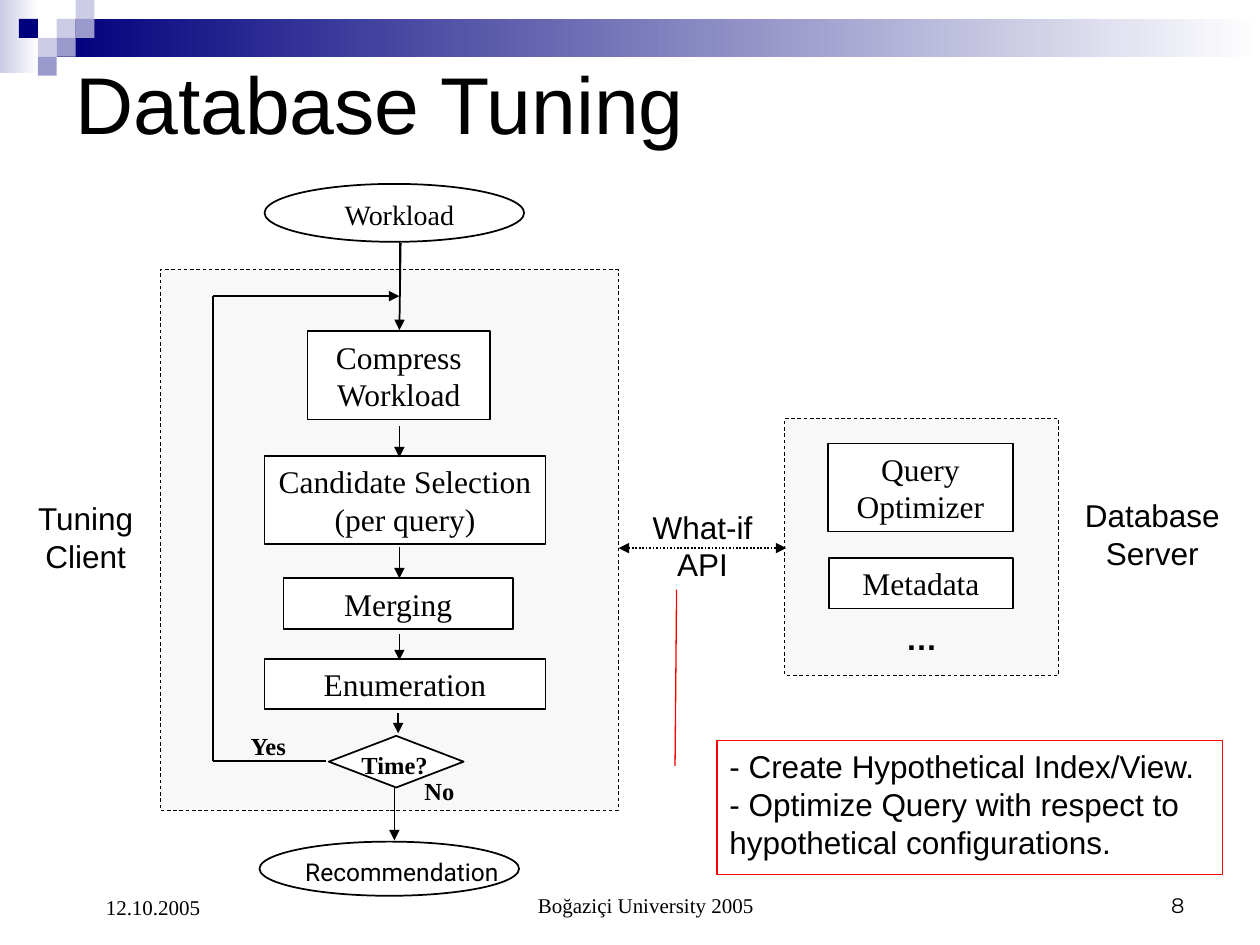
from lxml import etree
from pptx import Presentation
from pptx.dml.color import RGBColor
from pptx.enum.dml import MSO_LINE
from pptx.enum.shapes import MSO_CONNECTOR, MSO_SHAPE
from pptx.enum.text import MSO_ANCHOR, PP_ALIGN
from pptx.oxml.ns import qn
from pptx.util import Inches, Pt

RECT, OVAL = MSO_SHAPE.RECTANGLE, MSO_SHAPE.OVAL
DIAMOND, CALLOUT = MSO_SHAPE.FLOWCHART_DECISION, MSO_SHAPE.LINE_CALLOUT_1
STRAIGHT = MSO_CONNECTOR.STRAIGHT
DASH, DOTS = MSO_LINE.DASH, MSO_LINE.ROUND_DOT
LEFT, CENTER, RIGHT = PP_ALIGN.LEFT, PP_ALIGN.CENTER, PP_ALIGN.RIGHT
TOP, MIDDLE, BOTTOM = MSO_ANCHOR.TOP, MSO_ANCHOR.MIDDLE, MSO_ANCHOR.BOTTOM

BLACK = RGBColor(0x00, 0x00, 0x00)
WHITE = RGBColor(0xFF, 0xFF, 0xFF)
PANEL = RGBColor(0xF8, 0xF8, 0xF8)
RED = RGBColor(0xFF, 0x00, 0x00)
NAVY = RGBColor(0x00, 0x00, 0x7D)
LAVENDER = RGBColor(0xCC, 0xCC, 0xE6)
VIOLET = RGBColor(0x99, 0x99, 0xCC)
SERIF, SANS = "Times New Roman", "Arial"

SLIDE_W, SLIDE_H = Inches(10), Inches(7.5)
COLUMN, ROW = SLIDE_W / 100, SLIDE_H / 75
TILE = 1.5

BANDS = [((0, 0, 3.1, 5.8), LAVENDER), ((4.5, 1.5, 95.5, 3), NAVY)]
TILES = [
    (3, 1, LAVENDER), (4, 0, LAVENDER), (4, 1, VIOLET), (2, 2, LAVENDER),
    (1, 1, NAVY), (3, 2, VIOLET), (2, 3, VIOLET),
]
CLIENT = (12.7, 21.4, 36.4, 42.9)
SERVER = (62.3, 33.2, 21.7, 20.4)
ONE_LINE, TWO_LINES = 4, 7
STEPS = [
    ("Compress\nWorkload", 31.65, 26.3, 14.5, TWO_LINES),
    ("Candidate Selection\n(per query)", 32.15, 36.2, 22.3, TWO_LINES),
    ("Merging", 31.6, 45.9, 18.2, ONE_LINE),
    ("Enumeration", 32.15, 52.3, 22.3, ONE_LINE),
    ("Query\nOptimizer", 73.05, 35.2, 14.7, TWO_LINES),
    ("Metadata", 73.1, 44.3, 14.6, ONE_LINE),
]
OUTLINES = [
    (OVAL, (21, 14.6, 20.6, 4.6), None),
    (OVAL, (20.6, 66.8, 20.6, 4.3), None),
    (DIAMOND, (26.1, 58.4, 10.7, 4.1), WHITE),
]
AXIS, LOOP_X, LOOP_TOP, LOOP_END = 31.7, 16.9, 23.5, 60.4
ARROWS = [
    ((AXIS, 19.2), (AXIS, 23.2), 1, ""),
    ((31.8, 19.3), (AXIS, 26.2), 1, "tail"),
    ((LOOP_X, LOOP_END), (LOOP_X, LOOP_TOP), 1, ""),
    ((LOOP_X, LOOP_TOP), (AXIS, LOOP_TOP), 1, "tail"),
    ((25.9, LOOP_END), (LOOP_X, LOOP_END), 1, ""),
    ((31.3, 62.5), (31.3, 66.7), 1, "tail"),
    ((AXIS, 33.8), (AXIS, 36.3), 0.75, "tail"),
    ((AXIS, 43.4), (AXIS, 45.9), 0.75, "tail"),
    ((AXIS, 50.3), (AXIS, 52.4), 0.75, "tail"),
    ((31.6, 56.6), (31.6, 58.2), 0.75, "tail"),
]
API_LINK = ((49.1, 43.5), (62.4, 43.5), 1, "head tail")

LABELS = [
    ("Database Tuning", (5, 3.5, 93.3, 9.2), dict(size=46, align=LEFT, anchor=MIDDLE)),
    ("Workload", (22.6, 15.2, 18.2, 3.7), dict(size=16, font=SERIF)),
    ("Recommendation", (19.8, 67.5, 24.2, 3.4), dict(size=14, font="Roboto")),
    ("Tuning\nClient", (2, 39.1, 9.6, 7), {}),
    ("What-if\nAPI", (50.8, 39.8, 9.9, 7), {}),
    ("Database\nServer", (85.1, 38.9, 12.7, 7), {}),
    ("Boğaziçi University 2005", (34.2, 68.3, 31.7, 5),
     dict(size=12, font=SERIF, anchor=BOTTOM, indent=2.4)),
    ("8", (71.7, 68.3, 23.3, 5),
     dict(size=12, font="Montserrat", align=RIGHT, anchor=BOTTOM)),
    ("12.10.2005", (5, 68.3, 23.3, 5.2),
     dict(size=12, font=SERIF, align=LEFT, anchor=BOTTOM, indent=2.4)),
]
DECISION = [
    ("Time?", (27.7, 59, 10.7, 3.4)),
    ("Yes", (18.9, 57.5, 7.4, 3.4)),
    ("No", (32.7, 61.1, 7.4, 3.4)),
]
NOTE = ("- Create Hypothetical Index/View.\n"
        "- Optimize Query with respect to hypothetical configurations.")
NOTE_AREA = (56.9, 58.8, 40.1, 10.6)
NOTE_POINTER = (0.188, -0.083, -1.132, -0.08)


def place(area):
    x, y, w, h = area
    return round(x * COLUMN), round(y * ROW), round(w * COLUMN), round(h * ROW)


def write(holder, text, size=18, font=SANS, bold=False, align=CENTER,
          anchor=TOP, indent=0, wrap=True):
    frame = holder.text_frame
    frame.word_wrap = wrap
    frame.vertical_anchor = anchor
    frame.margin_left = round((1 + indent) * COLUMN)
    line = frame.paragraphs[0]
    line.text = text
    line.alignment = align
    for run in line.runs:
        run.font.size, run.font.name, run.font.bold = Pt(size), font, bold
        run.font.color.rgb = BLACK


def add_label(slide, text, area, **style):
    write(slide.shapes.add_textbox(*place(area)), text, **style)


def add_block(slide, kind, area, fill=None, line=None, width=1, dash=None):
    block = slide.shapes.add_shape(kind, *place(area))
    block.shadow.inherit = False
    if fill is None:
        block.fill.background()
    else:
        block.fill.solid()
        block.fill.fore_color.rgb = fill
    if line is None:
        block.line.fill.background()
    else:
        block.line.color.rgb = line
        block.line.width = Pt(width)
        if dash:
            block.line.dash_style = dash
    return block


def add_band(slide, area, color):
    band = add_block(slide, RECT, area)
    band.fill.gradient()
    band.fill.gradient_angle = 0
    for stop, shade in zip(band.fill.gradient_stops, (color, WHITE)):
        stop.color.rgb = shade


def add_arrow(slide, start, end, width, heads, dash=None):
    ends = [round(v) for x, y in (start, end) for v in (x * COLUMN, y * ROW)]
    arrow = slide.shapes.add_connector(STRAIGHT, *ends)
    arrow.line.color.rgb = BLACK
    arrow.line.width = Pt(width)
    if dash:
        arrow.line.dash_style = dash
    stroke = arrow.line._get_or_add_ln()
    for end_name in heads.split():
        etree.SubElement(stroke, qn(f"a:{end_name}End"), type="triangle")
    etree.SubElement(arrow._element.spPr, qn("a:effectLst"))


def main():
    deck = Presentation()
    deck.slide_width, deck.slide_height = SLIDE_W, SLIDE_H
    slide = deck.slides.add_slide(deck.slide_layouts[6])

    for area, color in BANDS:
        add_band(slide, area, color)
    for column, row, color in TILES:
        add_block(slide, RECT, (column * TILE, row * TILE, TILE, TILE), color)

    add_block(slide, RECT, CLIENT, PANEL, BLACK, 0.5, DASH)
    server = add_block(slide, RECT, SERVER, PANEL, BLACK, 0.5, DASH)
    write(server, "…", bold=True, anchor=BOTTOM)
    server.text_frame.margin_bottom = round(1.5 * ROW)

    for kind, area, fill in OUTLINES:
        add_block(slide, kind, area, fill, BLACK)
    for text, center, top, width, height in STEPS:
        area = (center - width / 2, top, width, height)
        write(add_block(slide, RECT, area, WHITE, BLACK), text, font=SERIF)
    for arrow in ARROWS:
        add_arrow(slide, *arrow)
    add_arrow(slide, *API_LINK, dash=DOTS)

    for text, area, style in LABELS:
        add_label(slide, text, area, **style)
    for text, area in DECISION:
        add_label(slide, text, area, size=14, font=SERIF, bold=True, align=LEFT)

    note = add_block(slide, CALLOUT, NOTE_AREA, line=RED, width=0.75)
    for index, share in enumerate(NOTE_POINTER):
        note.adjustments[index] = share
    write(note, NOTE, align=LEFT)

    deck.save("out.pptx")


if __name__ == "__main__":
    main()
